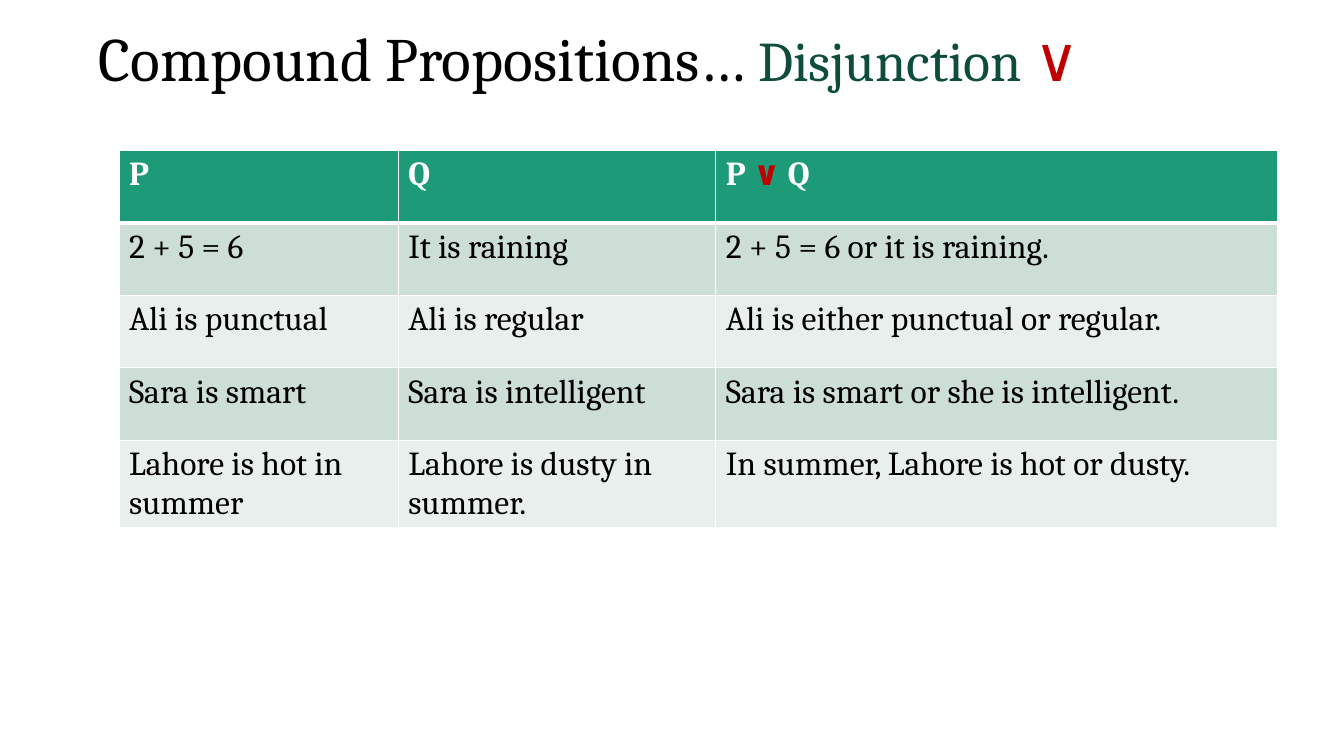
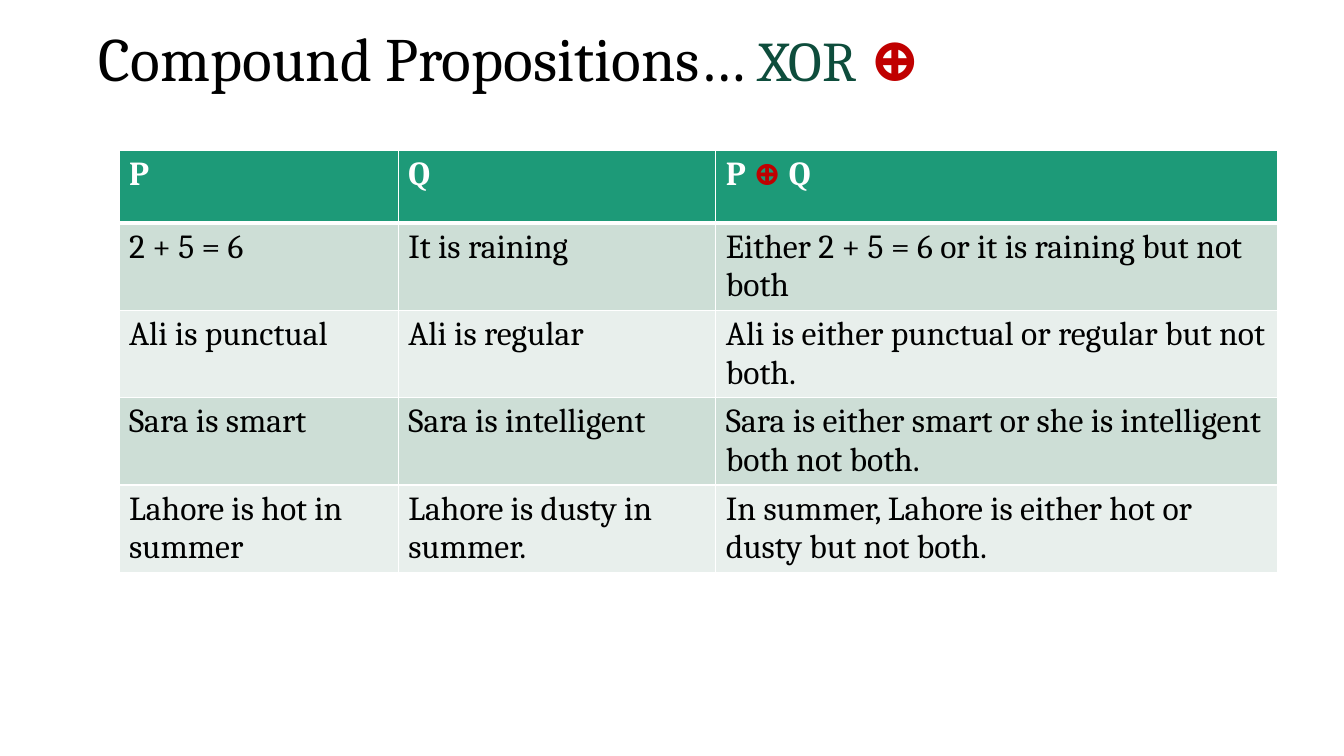
from lxml.etree import SubElement
from pptx import Presentation
from pptx.dml.color import RGBColor
from pptx.enum.text import MSO_ANCHOR, MSO_AUTO_SIZE, PP_ALIGN
from pptx.oxml.ns import qn
from pptx.util import Inches, Pt

FONT = "Cambria"
BLACK, WHITE, RED = "000000", "FFFFFF", "C00000"
DARK_GREEN, HEADER_GREEN = "0E4D3C", "1D9A78"
BANDS = ("CDDED6", "E8EFEC")
COLUMN_WIDTHS = (2.77, 3.15, 5.57)
ROW_HEIGHT = 0.72
PROPOSITIONS = (
    ("2 + 5 = 6", "It is raining"),
    ("Ali is punctual", "Ali is regular"),
    ("Sara is smart", "Sara is intelligent"),
    ("Lahore is hot in summer", "Lahore is dusty in summer."),
)
DISJUNCTIONS = (
    "2 + 5 = 6 or it is raining.",
    "Ali is either punctual or regular.",
    "Sara is smart or she is intelligent.",
    "In summer, Lahore is hot or dusty.",
)
EXCLUSIVE_ORS = (
    "Either 2 + 5 = 6 or it is raining but not both",
    "Ali is either punctual or regular but not both.",
    "Sara is either smart or she is intelligent both not both.",
    "In summer, Lahore is either hot or dusty but not both.",
)


def rgb(hex_color):
    """Return the colour for a hex string."""
    return RGBColor.from_string(hex_color)


def add_run(paragraph, text, size, color, bold=False):
    """Append one formatted run to a paragraph."""
    run = paragraph.add_run()
    run.text = text
    run.font.name = FONT
    run.font.size = Pt(size)
    run.font.bold = bold
    run.font.color.rgb = rgb(color)


def set_borders(cell, top, bottom):
    """Draw white cell borders, with the top and bottom widths in points."""
    properties = cell._tc.get_or_add_tcPr()
    for side, width in (("L", 1), ("R", 1), ("T", top), ("B", bottom)):
        line = SubElement(properties, qn(f"a:ln{side}"), w=str(Pt(width)))
        fill = SubElement(line, qn("a:solidFill"))
        SubElement(fill, qn("a:srgbClr"), val=WHITE)


def format_title(slide, operation, symbol, bold_symbol):
    """Fill the title with the topic, the operation and its symbol."""
    title = slide.shapes.title
    title.left, title.top = Inches(0.88), Inches(0.19)
    title.width, title.height = Inches(10.5), Inches(0.84)
    frame = title.text_frame
    frame.auto_size = MSO_AUTO_SIZE.NONE
    frame.vertical_anchor = MSO_ANCHOR.MIDDLE
    paragraph = frame.paragraphs[0]
    paragraph.alignment = PP_ALIGN.LEFT
    paragraph.line_spacing = 0.9
    add_run(paragraph, "Compound Propositions… ", 44, BLACK)
    add_run(paragraph, f"{operation} ", 40, DARK_GREEN)
    add_run(paragraph, symbol, 44, RED, bold_symbol)


def add_proposition_table(slide, symbol, compounds):
    """Add the table of propositions and their compounds."""
    header = (
        [("P", WHITE)],
        [("Q", WHITE)],
        [("P ", WHITE), (f"{symbol} ", RED), ("Q", WHITE)],
    )
    rows = [header]
    for pair, compound in zip(PROPOSITIONS, compounds):
        rows.append([[(text, BLACK)] for text in (*pair, compound)])
    table = slide.shapes.add_table(
        len(rows), len(COLUMN_WIDTHS), Inches(1.18), Inches(1.49),
        Inches(sum(COLUMN_WIDTHS)), Inches(ROW_HEIGHT * len(rows)),
    ).table
    table.horz_banding = False
    for column, width in zip(table.columns, COLUMN_WIDTHS):
        column.width = Inches(width)
    for row_index, row in enumerate(rows):
        table.rows[row_index].height = Inches(ROW_HEIGHT)
        is_header = row_index == 0
        color = HEADER_GREEN if is_header else BANDS[(row_index - 1) % 2]
        for cell, runs in zip(table.rows[row_index].cells, row):
            set_borders(cell, 3 if row_index == 1 else 1, 3 if is_header else 1)
            cell.fill.solid()
            cell.fill.fore_color.rgb = rgb(color)
            for text, text_color in runs:
                add_run(cell.text_frame.paragraphs[0], text, 24, text_color, is_header)


def add_operation_slide(presentation, operation, symbol, bold_symbol, compounds):
    """Add a slide that explains one logical operation."""
    slide = presentation.slides.add_slide(presentation.slide_layouts.get_by_name("Title Only"))
    format_title(slide, operation, symbol, bold_symbol)
    add_proposition_table(slide, symbol, compounds)


def main():
    """Build and save the presentation."""
    presentation = Presentation()
    presentation.slide_width = Inches(13.33)
    presentation.slide_height = Inches(7.5)
    add_operation_slide(presentation, "Disjunction", "∨", False, DISJUNCTIONS)
    add_operation_slide(presentation, "XOR", "⊕", True, EXCLUSIVE_ORS)
    presentation.save("out.pptx")


if __name__ == "__main__":
    main()
